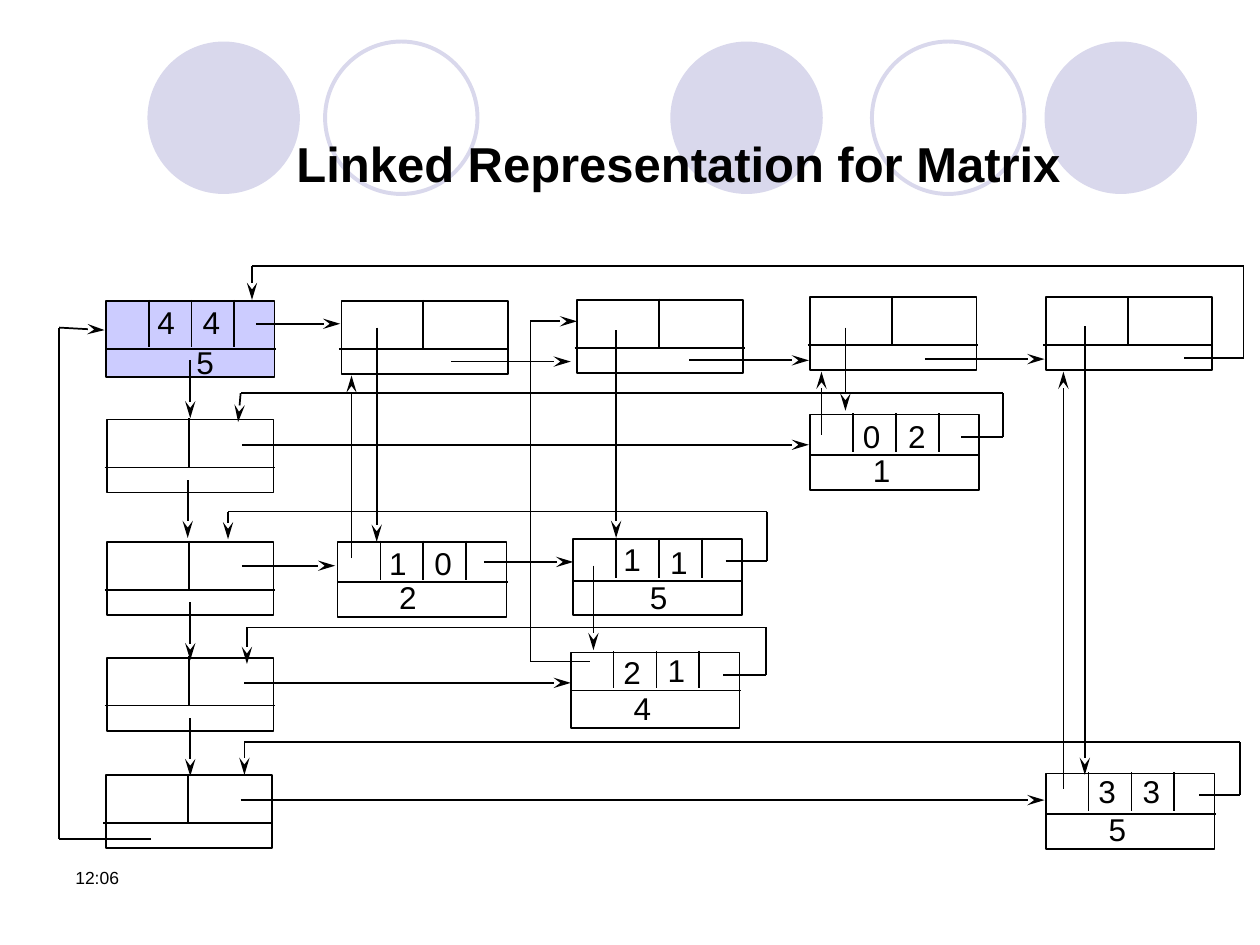
import itertools

import pptx
import pptx.dml.color
import pptx.enum.shapes
import pptx.enum.text
import pptx.oxml.ns
import pptx.util
from lxml import etree

PX = 9144
COLORS = {"ink": "000000", "circle": "D9D8EC", "head": "CCCCFF"}
FONT = "Arial"
SHAPES = pptx.enum.shapes.MSO_SHAPE

ROW_HEADERS = [(85, 333), (85, 430), (85, 522), (84, 615)]
COLUMN_HEADERS = [(271, 239), (458, 238), (643, 236), (830, 236)]

NODES = [
    (268, 430, 32, [("1", 31, -3), ("0", 67, -3), ("2", 39, 24)]),
    (453, 518, 30, [("2", 32, -5), ("1", 67, -6), ("4", 40, 24)]),
    (643, 329, 32, [("0", 32, -3), ("2", 68, -3), ("1", 40, 24)]),
    (830, 614, 32, [("3", 32, -6), ("3", 67, -6), ("5", 40, 24)]),
    (455, 428, 33, [("1", 30, -4), ("1", 67, -2), ("5", 51, 26)]),
]
HEAD_DIGITS = [("4", 31, -3), ("4", 67, -3), ("5", 62, 28)]

LINKS = [
    [(358, 287), (453, 287)],
    [(547, 286), (642, 286)],
    [(734, 285), (829, 285)],
    [(151, 286), (151, 332)],
    [(149, 381), (149, 427)],
    [(151, 478), (151, 524)],
    [(151, 570), (151, 616)],
    [(203, 257), (270, 257)],
    [(192, 353), (642, 353)],
    [(192, 449), (266, 449)],
    [(194, 542), (453, 542)],
    [(191, 635), (829, 635)],
    [(384, 446), (455, 446)],
    [(299, 260), (299, 430)],
    [(489, 262), (489, 427)],
    [(671, 260), (671, 326)],
    [(861, 259), (861, 615)],
    [(471, 449), (471, 516)],
    [(279, 443), (279, 298)],
    [(652, 345), (652, 295)],
    [(844, 626), (844, 295)],
    [(120, 666), (47, 666), (47, 260), (83, 262)],
    [(468, 525), (421, 525), (421, 255), (458, 255)],
    [(940, 284), (987, 284), (987, 211), (200, 211), (200, 238)],
    [(763, 347), (796, 347), (796, 312), (191, 312), (189, 335)],
    [(576, 445), (609, 445), (609, 406), (181, 406), (181, 428)],
    [(574, 536), (608, 536), (608, 498), (196, 498), (196, 527)],
    [(952, 631), (984, 631), (984, 589), (194, 589), (194, 615)],
]


def color(name):
    return pptx.dml.color.RGBColor.from_string(COLORS[name])


def add_outline(slide, kind, left, top, width, height, fill=None, line=None, weight=1):
    shape = slide.shapes.add_shape(kind, left * PX, top * PX, width * PX, height * PX)
    shape.shadow.inherit = False
    if fill:
        shape.fill.solid()
        shape.fill.fore_color.rgb = color(fill)
    else:
        shape.fill.background()
    if line:
        shape.line.color.rgb = color(line)
        shape.line.width = pptx.util.Pt(weight)
    else:
        shape.line.fill.background()


def add_line(slide, start, end, arrow=False):
    connector = slide.shapes.add_connector(
        pptx.enum.shapes.MSO_CONNECTOR.STRAIGHT, *(value * PX for value in start + end))
    connector.line.color.rgb = color("ink")
    connector.line.width = pptx.util.Pt(1)
    properties = connector.element.spPr
    if arrow:
        line = properties.find(pptx.oxml.ns.qn("a:ln"))
        etree.SubElement(line, pptx.oxml.ns.qn("a:tailEnd"), type="stealth", w="med", len="lg")
    etree.SubElement(properties, pptx.oxml.ns.qn("a:effectLst"))


def add_text(slide, text, left, top, width, height, size, wrap=True):
    box = slide.shapes.add_textbox(left * PX, top * PX, width * PX, height * PX)
    frame = box.text_frame
    frame.word_wrap = wrap
    if not wrap:
        frame.auto_size = pptx.enum.text.MSO_AUTO_SIZE.SHAPE_TO_FIT_TEXT
    paragraph = frame.paragraphs[0]
    paragraph.text = text
    paragraph.font.name = FONT
    paragraph.font.size = pptx.util.Pt(size)
    paragraph.font.color.rgb = color("ink")
    return frame


def draw_circles(slide, left, top):
    for offset, filled in [(0, True), (141, False), (415, True), (575, False), (712, True)]:
        style = {"fill": "circle"} if filled else {"line": "circle", "weight": 2.25}
        add_outline(slide, SHAPES.OVAL, left + offset, top, 121, 121, **style)


def draw_title(slide, left, top, width, height):
    frame = add_text(slide, "Linked Representation for Matrix", left, top, width, height, 28)
    frame.vertical_anchor = pptx.enum.text.MSO_ANCHOR.MIDDLE
    frame.paragraphs[0].alignment = pptx.enum.text.PP_ALIGN.CENTER
    frame.paragraphs[0].font.bold = True


def draw_header(slide, left, top):
    add_outline(slide, SHAPES.RECTANGLE, left, top, 132, 58, line="ink")
    add_line(slide, (left - 2, top + 38), (left + 133, top + 38))
    add_line(slide, (left + 65, top - 1), (left + 65, top + 38))


def draw_node(slide, left, top, rule, digits, fill=None):
    add_outline(slide, SHAPES.RECTANGLE, left, top, 134, 60, fill=fill, line="ink")
    add_line(slide, (left, top + rule), (left + 135, top + rule))
    for column in range(1, 4):
        x = left + 34 * column
        add_line(slide, (x, top - 1), (x, top + rule - 2))
    for digit, x, y in digits:
        add_text(slide, digit, left + x, top + y, 37, 40, 18, wrap=False)


def draw_links(slide, left, top):
    for route in LINKS:
        points = [(left + x, top + y) for x, y in route]
        for start, end in itertools.pairwise(points):
            add_line(slide, start, end, arrow=end == points[-1])


def main():
    presentation = pptx.Presentation()
    presentation.slide_width = 1000 * PX
    presentation.slide_height = 750 * PX
    slide = presentation.slides.add_slide(presentation.slide_layouts[6])
    draw_circles(slide, 117, 33)
    draw_title(slide, 78, 67, 921, 125)
    draw_node(slide, 84, 239, 38, HEAD_DIGITS, fill="head")
    for left, top in ROW_HEADERS + COLUMN_HEADERS:
        draw_header(slide, left, top)
    for node in NODES:
        draw_node(slide, *node)
    draw_links(slide, 0, 0)
    add_text(slide, "12:06", 50, 683, 233, 50, 10)
    presentation.save("out.pptx")


if __name__ == "__main__":
    main()
